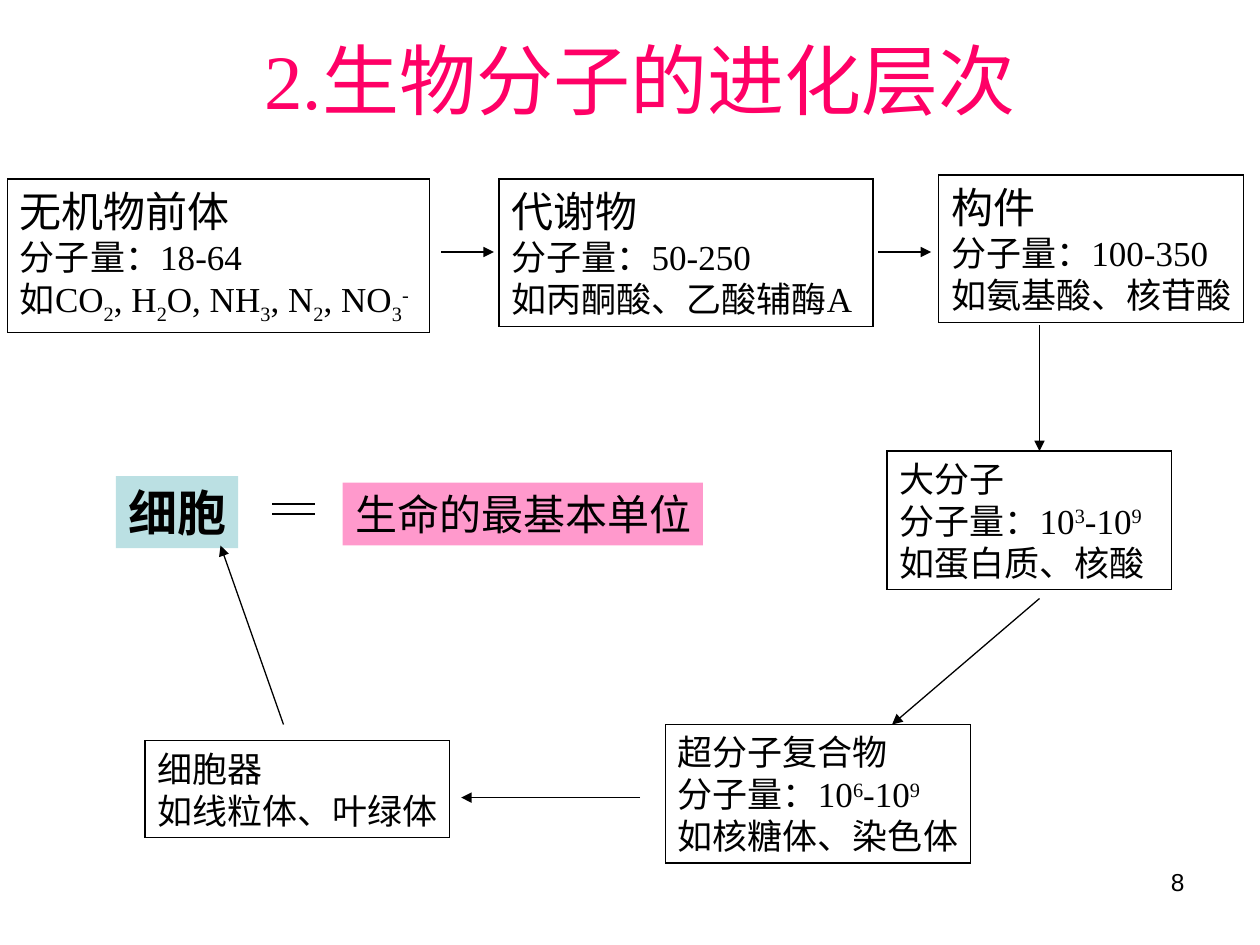
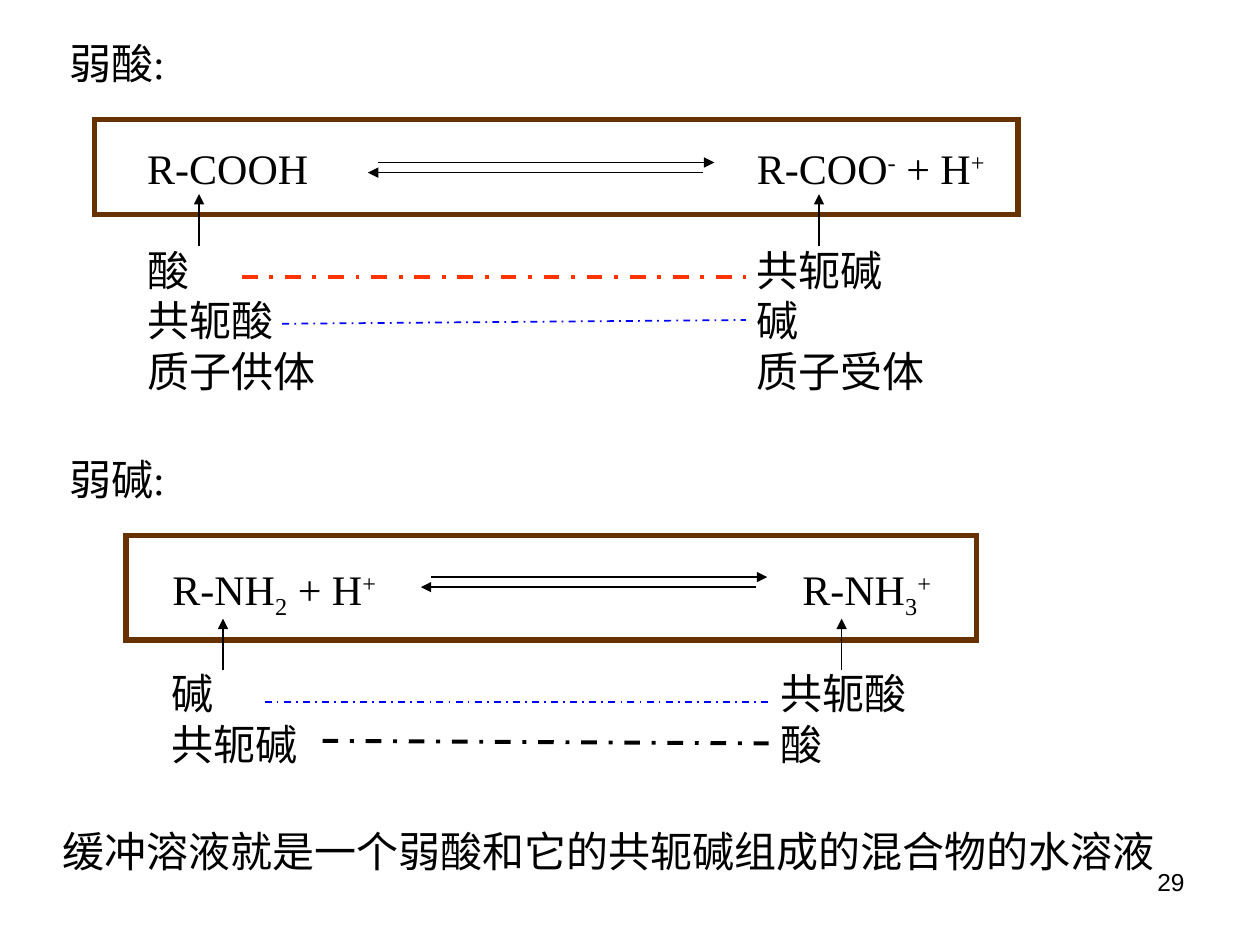
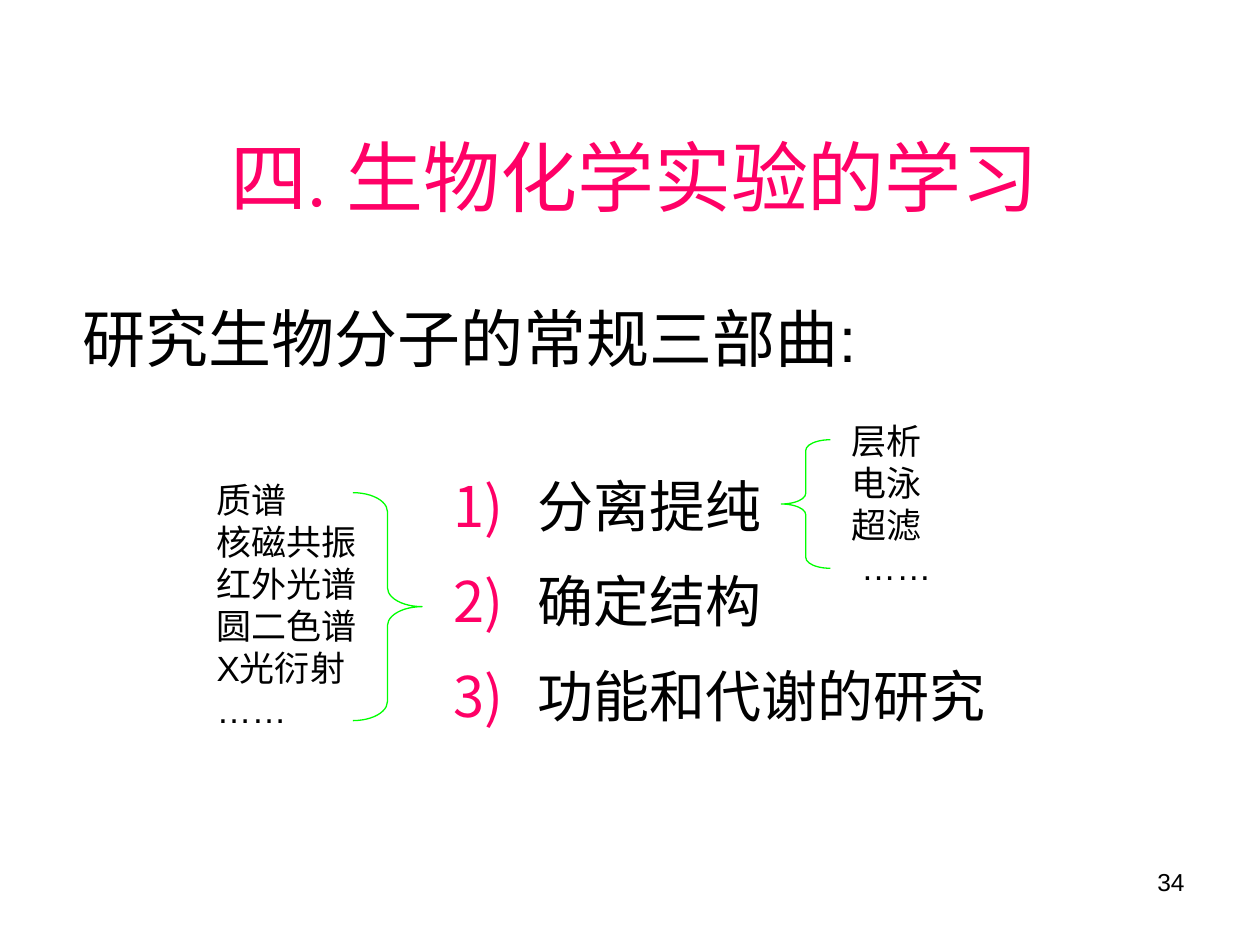
from lxml import etree
from pptx import Presentation
from pptx.dml.color import RGBColor
from pptx.enum.dml import MSO_LINE
from pptx.enum.shapes import MSO_CONNECTOR, MSO_SHAPE
from pptx.enum.text import MSO_ANCHOR, PP_ALIGN
from pptx.oxml.ns import qn
from pptx.util import Inches, Pt

LEFT, CENTER, RIGHT = PP_ALIGN.LEFT, PP_ALIGN.CENTER, PP_ALIGN.RIGHT
TOP, MIDDLE = MSO_ANCHOR.TOP, MSO_ANCHOR.MIDDLE
RECTANGLE = MSO_SHAPE.RECTANGLE
LEFT_BRACE, RIGHT_BRACE = MSO_SHAPE.LEFT_BRACE, MSO_SHAPE.RIGHT_BRACE
STRAIGHT = MSO_CONNECTOR.STRAIGHT
DASH_DOT = MSO_LINE.DASH_DOT

SERIF, SANS = "Times New Roman", "Arial"
COLORS = {
    "text": "000000",
    "title": "FF0066",
    "cell": "BBE0E3",
    "unit": "FF99CC",
    "frame": "663300",
    "red": "FF3300",
    "blue": "0000FF",
    "brace": "00FF00",
}
RGB = {name: RGBColor.from_string(value) for name, value in COLORS.items()}
BASELINES = {"_": "-25000", "^": "30000"}


def add_text(page, text, left, top, width, height, size=24, head_size=None,
             font=SERIF, color="text", bold=False, align=LEFT, anchor=TOP,
             fill=None, line=None, line_width=0.75):
    """Write lines of text; _ lowers and ^ raises the next character."""
    area = [Inches(value) for value in (left, top, width, height)]
    if fill or line:
        box = page.shapes.add_shape(RECTANGLE, *area)
        box.shadow.inherit = False
        box.fill.background()
        box.line.fill.background()
    else:
        box = page.shapes.add_textbox(*area)
    if fill:
        box.fill.solid()
        box.fill.fore_color.rgb = RGB[fill]
    if line:
        box.line.color.rgb = RGB[line]
        box.line.width = Pt(line_width)
        etree.SubElement(box.line._get_or_add_ln(), qn("a:miter"), lim="800000")
    frame = box.text_frame
    frame.word_wrap = True
    frame.vertical_anchor = anchor
    if align == LEFT:
        frame.margin_right = 0  # room for labels as wide as their box
    for number, row in enumerate(text.split("\n")):
        para = frame.add_paragraph() if number else frame.paragraphs[0]
        para.alignment = align
        for chunk in row.replace("_", "\t_").replace("^", "\t^").split("\t"):
            shift = BASELINES.get(chunk[:1])
            pieces = [(chunk[1:2], shift), (chunk[2:], None)] if shift else [(chunk, None)]
            for piece, baseline in pieces:
                if not piece:
                    continue
                span = para.add_run()
                span.text = piece
                span.font.name = font
                span.font.size = Pt(size if number or not head_size else head_size)
                span.font.bold = bold
                span.font.color.rgb = RGB[color]
                if baseline:
                    span.font._element.set("baseline", baseline)
    return box


def add_line(page, start, end, color="text", width=0.75, arrow=False, dash=None):
    points = [Inches(value) for value in (*start, *end)]
    connector = page.shapes.add_connector(STRAIGHT, *points)
    connector.line.color.rgb = RGB[color]
    connector.line.width = Pt(width)
    if dash:
        connector.line.dash_style = dash
    if arrow:
        etree.SubElement(connector.line._get_or_add_ln(), qn("a:tailEnd"), type="triangle")
    etree.SubElement(connector._element.spPr, qn("a:effectLst"))


# Deck and page numbers
deck = Presentation()
deck.slide_width, deck.slide_height = Inches(10), Inches(7.5)
pages = []
for page_number in ("8", "29", "34"):
    page = deck.slides.add_slide(deck.slide_layouts[6])
    add_text(page, page_number, 7.17, 6.83, 2.33, 0.52, size=14, font=SANS, align=RIGHT)
    pages.append(page)
evolution, buffers, research = pages

# Titles
title_style = dict(size=44, color="title", align=CENTER, anchor=MIDDLE)
add_text(evolution, "2.生物分子的进化层次", 0.83, 0, 8.5, 1.25, **title_style)
add_text(research, "四. 生物化学实验的学习", 1.3, 0.77, 7.48, 1.25, **title_style)

# Evolution: levels of biomolecules
levels = [
    ("无机物前体\n分子量：18-64\n如CO_2, H_2O, NH_3, N_2, NO_3^-", 0.06, 1.42, 3.35, 1.22, 24),
    ("代谢物\n分子量：50-250\n如丙酮酸、乙酸辅酶A", 3.96, 1.42, 2.97, 1.17, 24),
    ("构件\n分子量：100-350\n如氨基酸、核苷酸", 7.45, 1.39, 2.42, 1.17, 24),
    ("大分子\n分子量：10^3-10^9\n如蛋白质、核酸", 7.04, 3.58, 2.26, 1.1, 20),
    ("超分子复合物\n分子量：10^6-10^9\n如核糖体、染色体", 5.28, 5.75, 2.42, 1.1, 20),
    ("细胞器\n如线粒体、叶绿体", 1.15, 5.88, 2.42, 0.77, 20),
]
for text, left, top, width, height, head_size in levels:
    add_text(evolution, text, left, top, width, height, size=20,
             head_size=head_size, line="text")

# Evolution: the cell equals the basic unit of life
add_text(evolution, "细胞", 0.92, 3.78, 0.97, 0.57, size=28, bold=True, fill="cell")
add_text(evolution, "生命的最基本单位", 2.72, 3.83, 2.86, 0.5, fill="unit")
for y in (4, 4.08):
    add_line(evolution, (2.16, y), (2.5, y))

# Evolution: arrows from level to level
steps = [
    ((3.5, 2), (3.92, 2)),
    ((6.97, 2), (7.39, 2)),
    ((8.25, 2.58), (8.25, 3.58)),
    ((8.25, 4.75), (7.08, 5.75)),
    ((5.08, 6.33), (3.66, 6.33)),
    ((2.25, 5.75), (1.75, 4.33)),
]
for start, end in steps:
    add_line(evolution, start, end, arrow=True)

# Buffers: headings, formulas and names of both sides
buffer_texts = [
    ("弱酸:", 0.45, 0.25, 1.04, 0.5),
    ("R-COOH", 1.07, 1.08, 1.48, 0.5),
    ("R-COO^- + H^+", 5.91, 1.08, 2, 0.5),
    ("酸\n共轭酸\n质子供体", 1.07, 1.89, 1.53, 1.3),
    ("共轭碱\n碱\n质子受体", 5.91, 1.89, 1.53, 1.3),
    ("弱碱:", 0.45, 3.55, 1.04, 0.5),
    ("R-NH_2 + H^+", 1.27, 4.42, 1.81, 0.56),
    ("R-NH_3^+", 6.27, 4.42, 1.22, 0.56),
    ("碱\n共轭碱", 1.26, 5.25, 1.2, 0.9),
    ("共轭酸\n酸", 6.1, 5.25, 1.2, 0.9),
    ("缓冲溶液就是一个弱酸和它的共轭碱组成的混合物的水溶液", 0.4, 6.5, 8.86, 0.5),
]
for text, *area in buffer_texts:
    add_text(buffers, text, *area)

# Buffers: reaction frames, equilibrium arrows and pointers
reactions = [
    ((0.75, 0.95, 7.33, 0.75), (3, 1.29), (1.58, 6.5), 1.95),
    ((1, 4.25, 6.75, 0.83), (3.42, 4.58), (1.77, 6.68), 5.32),
]
for frame_area, (x, y), pointer_columns, pointer_base in reactions:
    add_text(buffers, "", *frame_area, line="frame", line_width=3)
    add_line(buffers, (x, y), (x + 2.67, y), arrow=True)
    add_line(buffers, (x + 2.58, y + 0.08), (x - 0.08, y + 0.08), arrow=True)
    for column in pointer_columns:
        add_line(buffers, (column, pointer_base), (column, pointer_base - 0.41), arrow=True)

# Buffers: conjugate pairs
pairs = [
    ((1.92, 2.2), (5.92, 2.2), "red", 2.25),
    ((2.24, 2.57), (5.92, 2.54), "blue", 1),
    ((2.1, 5.57), (6.1, 5.57), "blue", 1),
    ((2.56, 5.88), (6.1, 5.9), "text", 2.25),
]
for start, end, color, width in pairs:
    add_line(buffers, start, end, color, width, dash=DASH_DOT)

# Research: numbered steps
add_text(research, "研究生物分子的常规三部曲:", 0.56, 2.33, 6.46, 0.7, size=36, font=SANS)
step_box = add_text(research, "分离提纯\n确定结构\n功能和代谢的研究",
                    3.5, 3.59, 5.91, 2.44, size=32)
for number, para in enumerate(step_box.text_frame.paragraphs):
    properties = para._p.get_or_add_pPr()
    properties.set("marL", str(Inches(0.67)))
    properties.set("indent", str(-Inches(0.67)))
    bullet_color = etree.SubElement(properties, qn("a:buClr"))
    etree.SubElement(bullet_color, qn("a:srgbClr"), val=COLORS["title"])
    etree.SubElement(properties, qn("a:buAutoNum"), type="arabicParenR")
    para.line_spacing = 1.2
    if number:
        para.space_before = Pt(8)

# Research: methods and their braces
add_text(research, "质谱\n核磁共振\n红外光谱\n圆二色谱\nX光衍射\n……",
         1.62, 3.75, 1.31, 2.1, size=20, font=SANS)
add_text(research, "层析\n电泳\n超滤\n ……", 6.66, 3.28, 0.83, 1.44, size=20, font=SANS)
braces = [
    (LEFT_BRACE, 6.2, 3.49, 0.39, 1.02),
    (RIGHT_BRACE, 2.8, 3.91, 0.55, 1.81),
]
for kind, left, top, width, height in braces:
    brace = research.shapes.add_shape(kind, Inches(left), Inches(top),
                                      Inches(width), Inches(height))
    brace.adjustments[0] = height / 12 / width
    brace.shadow.inherit = False
    brace.fill.background()
    brace.line.color.rgb = RGB["brace"]
    brace.line.width = Pt(0.75)

deck.save("out.pptx")
